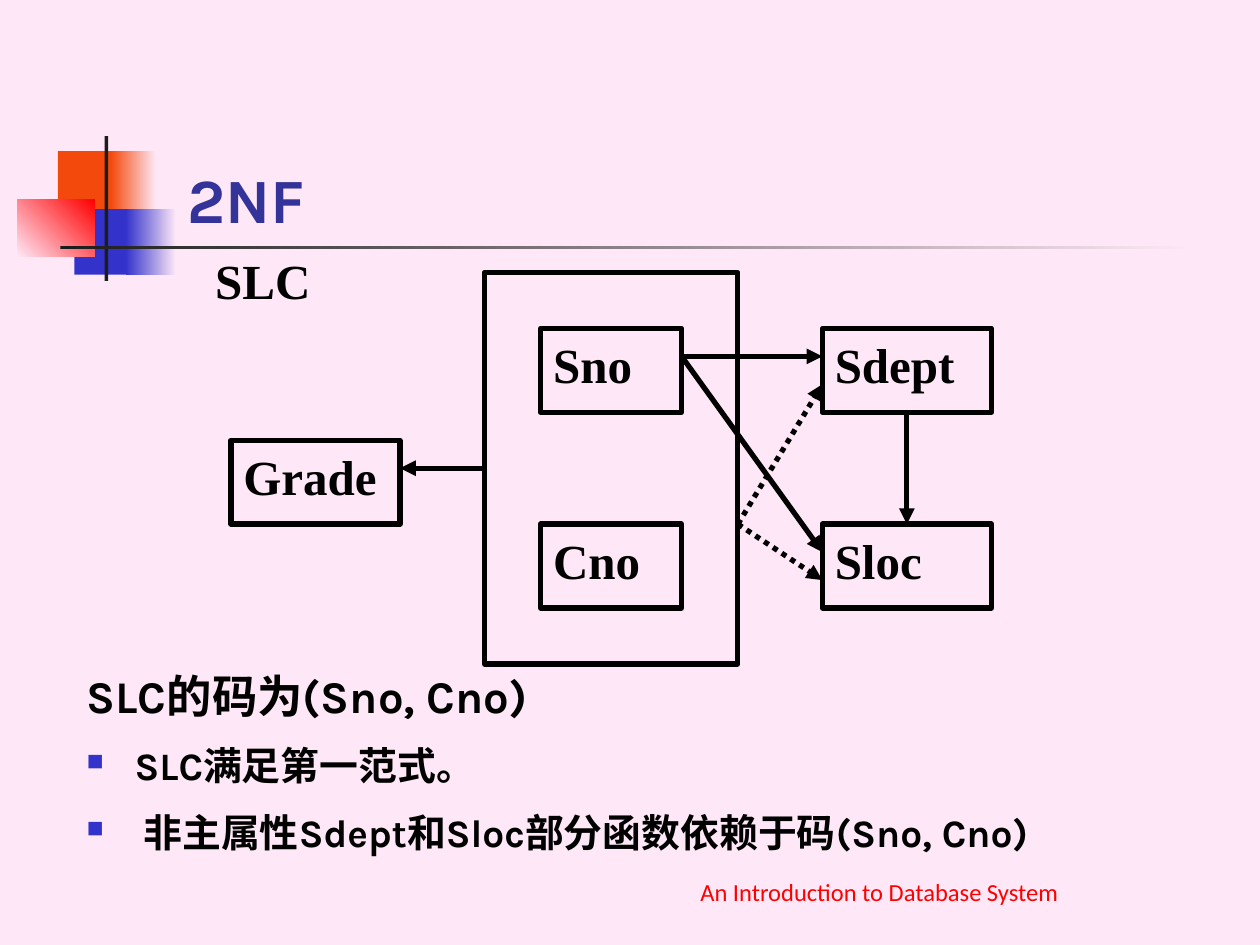
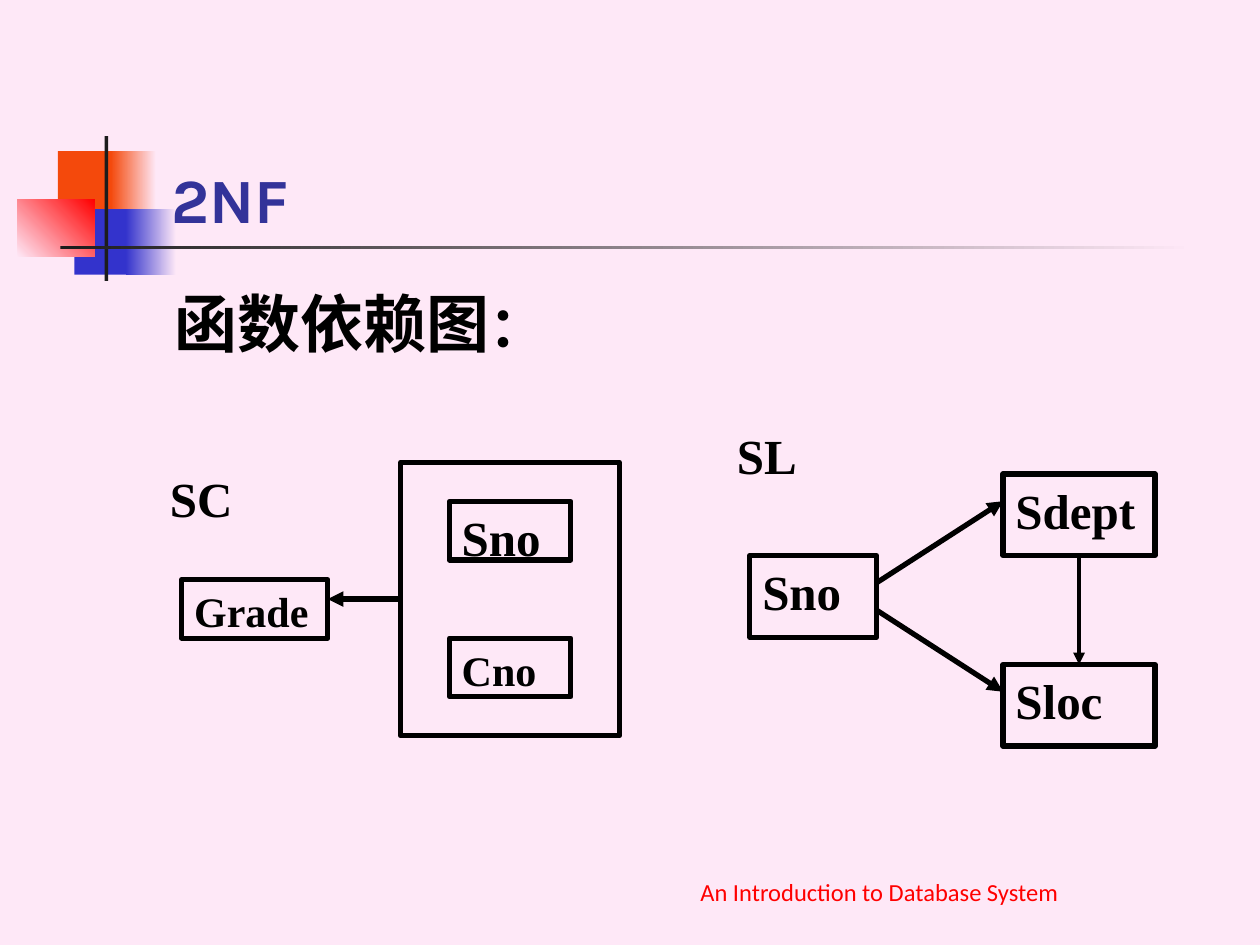
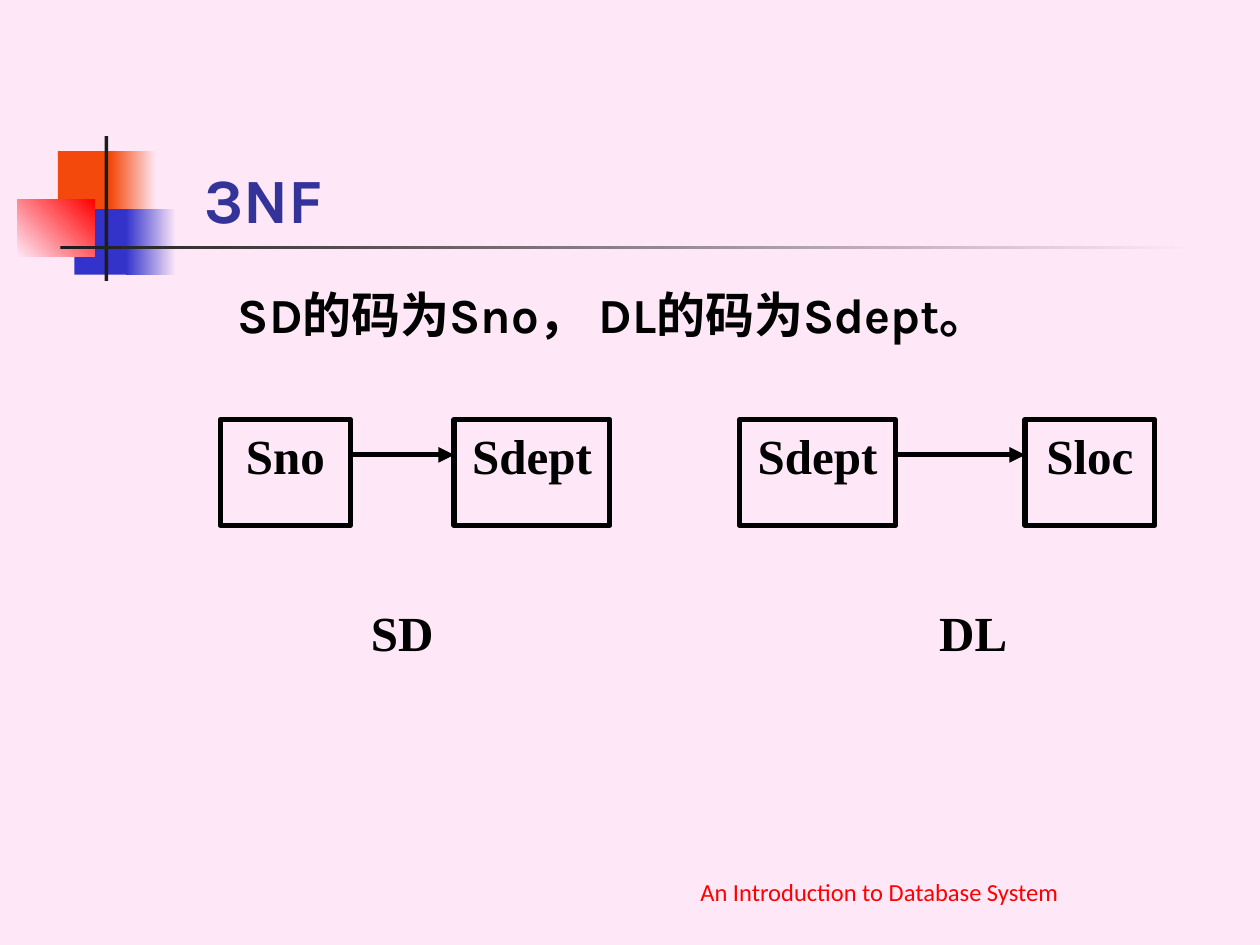
from lxml.etree import SubElement
from pptx import Presentation
from pptx.dml.color import RGBColor
from pptx.enum.dml import MSO_LINE
from pptx.enum.shapes import MSO_CONNECTOR, MSO_SHAPE
from pptx.enum.text import MSO_ANCHOR, PP_ALIGN
from pptx.oxml.ns import qn
from pptx.util import Inches, Pt

PINK = RGBColor(0xFE, 0xE8, 0xF7)
ORANGE = RGBColor(0xF4, 0x49, 0x0C)
BLUE = RGBColor(0x33, 0x33, 0xCC)
RED = RGBColor(0xFF, 0x00, 0x00)
CHARCOAL = RGBColor(0x1C, 0x1C, 0x1C)
NAVY = RGBColor(0x33, 0x33, 0x99)
BLACK = RGBColor(0x00, 0x00, 0x00)

TITLE_FONT, DIAGRAM_FONT, FOOTER_FONT = "Karla", "Times New Roman", "Calibri"
FOOTER = "An Introduction to Database System"
SPACE_WIDTH = 0.13

# left, top, width, height, first colour, last colour, gradient angle
ORNAMENTS = [
    (0.46, 1.2, 0.48, 0.52, ORANGE, ORANGE, 0),
    (0.88, 1.2, 0.36, 0.52, ORANGE, PINK, 0),
    (0.59, 1.66, 0.46, 0.52, BLUE, BLUE, 0),
    (1.0, 1.66, 0.4, 0.52, BLUE, PINK, 0),
    (0.14, 1.58, 0.61, 0.46, PINK, RED, 45),
    (0.83, 1.08, 0.03, 1.15, CHARCOAL, CHARCOAL, 0),
    (0.48, 1.95, 9, 0.03, CHARCOAL, PINK, 0),
]

# Body paragraphs: runs as (text, size), margin, first-line indent, bulleted
# Diagram: left, top, column width, row height, alignment, boxes, labels, arrows
#   boxes and labels: text, column, row, columns, rows, size
#   arrows: start column and row, end column and row, dotted, line width
SLIDES = [
    {
        "title": "2NF", "title_offset": SPACE_WIDTH,
        "body_box": (0.59, 5.25, 8.5, 1.92),
        "body": [
            ([("SLC的码为(Sno, Cno)", 25.9)], 0.38, -0.38, False),
            ([("SLC满足第一范式。", 22.2)], 0.38, -0.38, True),
            ([("非主属性Sdept和Sloc部分函数依赖于码(Sno, Cno)", 22.2)], 0.45, -0.45, True),
        ],
        "diagrams": [
            (1.61, 1.94, 0.2235, 0.222, PP_ALIGN.JUSTIFY,
             [("", 10, 1, 9, 14, 28), ("Sno", 12, 3, 5, 3, 28),
              ("Cno", 12, 10, 5, 3, 28), ("Grade", 1, 7, 6, 3, 28),
              ("Sdept", 22, 3, 6, 3, 28), ("Sloc", 22, 10, 6, 3, 28)],
             [("SLC", 0, 0, 6, 3, 28)],
             [(10, 8, 7, 8, False, 3), (17, 4, 22, 4, False, 3),
              (17, 4, 22, 11, False, 3), (19, 10, 22, 5, True, 3),
              (19, 10, 22, 12, True, 3), (25, 6, 25, 10, False, 3)]),
        ],
    },
    {
        "title": "2NF", "title_offset": 0,
        "body_box": (1.29, 2.21, 8.5, 4.5),
        "body": [([("函数依赖图", 36), ("：", 32)], 0.38, -0.38, False)],
        "diagrams": [
            (1.25, 3.67, 0.193, 0.155, PP_ALIGN.JUSTIFY,
             [("", 10, 0, 9, 14, 28), ("Sno", 12, 2, 5, 3, 28),
              ("Cno", 12, 9, 5, 3, 24), ("Grade", 1, 6, 6, 3, 24)],
             [("SC", 0, 0, 5, 3, 28)],
             [(10, 7, 7, 7, False, 3)]),
            (5.75, 3.33, 0.201, 0.216, PP_ALIGN.JUSTIFY,
             [("Sno", 1, 5, 5, 3, 28), ("Sdept", 11, 2, 6, 3, 28),
              ("Sloc", 11, 9, 6, 3, 28)],
             [("SL", 0, 0, 6, 3, 28)],
             [(6, 6, 11, 3, False, 3), (6, 7, 11, 10, False, 3),
              (14, 5, 14, 9, False, 2.25)]),
        ],
    },
    {
        "title": "3NF", "title_offset": 2 * SPACE_WIDTH,
        "body_box": (1.29, 2.21, 8.5, 4.5),
        "body": [([("SD的码为Sno， DL的码为Sdept。", 28)], 0.81, -0.31, False)],
        "diagrams": [
            (1.75, 3.33, 0.206, 0.28, PP_ALIGN.CENTER,
             [("Sno", 0, 0, 5, 3, 28), ("Sdept", 9, 0, 6, 3, 28),
              ("Sdept", 20, 0, 6, 3, 28), ("Sloc", 31, 0, 5, 3, 28)],
             [("SD", 5, 5, 4, 3, 28), ("DL", 27, 5, 4, 3, 28)],
             [(5, 1, 9, 1, False, 3), (26, 1, 31, 1, False, 3)]),
        ],
    },
]


def add_rectangle(slide, left, top, width, height):
    shape = slide.shapes.add_shape(
        MSO_SHAPE.RECTANGLE, Inches(left), Inches(top), Inches(width), Inches(height))
    shape.shadow.inherit = False
    return shape


def write_text(shape, text, font_name, size, color, bold, alignment, anchor):
    """Fill a shape with one formatted paragraph."""
    frame = shape.text_frame
    frame.word_wrap = True
    frame.vertical_anchor = anchor
    frame.text = text
    paragraph = frame.paragraphs[0]
    paragraph.alignment = alignment
    font = paragraph.font
    font.name, font.size, font.bold = font_name, Pt(size), bold
    font.color.rgb = color


presentation = Presentation()
presentation.slide_width, presentation.slide_height = Inches(10), Inches(7.5)

for content in SLIDES:
    slide = presentation.slides.add_slide(presentation.slide_layouts[6])
    slide.background.fill.solid()
    slide.background.fill.fore_color.rgb = PINK

    for left, top, width, height, first, last, angle in ORNAMENTS:
        ornament = add_rectangle(slide, left, top, width, height)
        ornament.line.fill.background()
        if first == last:
            ornament.fill.solid()
            ornament.fill.fore_color.rgb = first
        else:
            ornament.fill.gradient()
            ornament.fill.gradient_angle = angle
            for stop, color in zip(ornament.fill.gradient_stops, (first, last)):
                stop.color.rgb = color

    footer = slide.shapes.add_textbox(Inches(4.37), Inches(6.74), Inches(5.22), Inches(0.5))
    write_text(footer, FOOTER, FOOTER_FONT, 14, RED, False, PP_ALIGN.CENTER, MSO_ANCHOR.BOTTOM)

    title = slide.shapes.add_textbox(Inches(1.26), Inches(0.67), Inches(8.52), Inches(1.25))
    write_text(title, content["title"], TITLE_FONT, 36, NAVY, True,
               PP_ALIGN.LEFT, MSO_ANCHOR.BOTTOM)
    title.text_frame.margin_left = Inches(0.1 + content["title_offset"])

    body = slide.shapes.add_textbox(*[Inches(length) for length in content["body_box"]])
    body.text_frame.word_wrap = True
    for index, (runs, margin, indent, bulleted) in enumerate(content["body"]):
        if index == 0:
            paragraph = body.text_frame.paragraphs[0]
        else:
            paragraph = body.text_frame.add_paragraph()
            paragraph.space_before = Pt(6)
        properties = paragraph._p.get_or_add_pPr()
        properties.set("marL", str(Inches(margin)))
        properties.set("indent", str(Inches(indent)))
        if bulleted:
            paragraph.line_spacing = 1.2
            bullet_color = SubElement(properties, qn("a:buClr"))
            SubElement(bullet_color, qn("a:srgbClr"), val=str(BLUE))
            SubElement(properties, qn("a:buSzPct"), val="60000")
            SubElement(properties, qn("a:buChar"), char="■")
        for text, size in runs:
            run = paragraph.add_run()
            run.text = text
            run.font.name, run.font.size, run.font.bold = TITLE_FONT, Pt(size), True
            run.font.color.rgb = BLACK

    for left, top, column, row, alignment, boxes, labels, arrows in content["diagrams"]:
        side_middles = {}
        for text, x, y, columns, rows, size in boxes:
            box = add_rectangle(slide, left + x * column, top + y * row,
                                columns * column, rows * row)
            box.fill.background()
            box.line.color.rgb = BLACK
            box.line.width = Pt(3)
            if text:
                write_text(box, text, DIAGRAM_FONT, size, BLACK, True, alignment, MSO_ANCHOR.TOP)
            middle_x, middle_y = x + columns / 2, y + rows / 2
            for site, point in enumerate([(middle_x, y), (x, middle_y),
                                          (middle_x, y + rows), (x + columns, middle_y)]):
                side_middles[point] = (box, site)

        for x1, y1, x2, y2, dotted, width in arrows:
            arrow = slide.shapes.add_connector(
                MSO_CONNECTOR.STRAIGHT,
                Inches(left + x1 * column), Inches(top + y1 * row),
                Inches(left + x2 * column), Inches(top + y2 * row))
            if (x1, y1) in side_middles:
                arrow.begin_connect(*side_middles[x1, y1])
            if (x2, y2) in side_middles:
                arrow.end_connect(*side_middles[x2, y2])
            arrow.line.color.rgb = BLACK
            arrow.line.width = Pt(width)
            if dotted:
                arrow.line.dash_style = MSO_LINE.ROUND_DOT
            SubElement(arrow.line._get_or_add_ln(), qn("a:tailEnd"), type="triangle")
            SubElement(arrow._element.spPr, qn("a:effectLst"))

        for text, x, y, columns, rows, size in labels:
            label = slide.shapes.add_textbox(
                Inches(left + x * column), Inches(top + y * row),
                Inches(columns * column), Inches(rows * row))
            write_text(label, text, DIAGRAM_FONT, size, BLACK, True, alignment, MSO_ANCHOR.TOP)

presentation.save("out.pptx")
